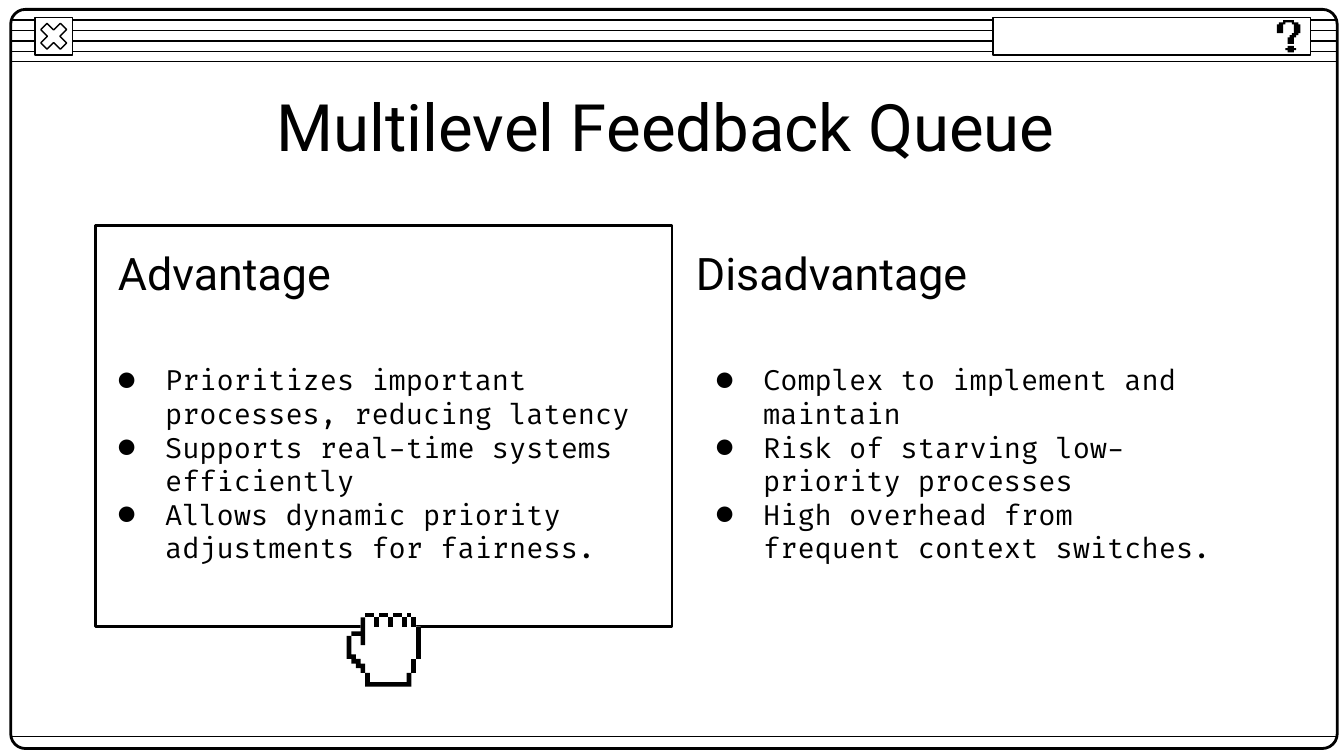
from dataclasses import dataclass

from lxml import etree
from pptx import Presentation
from pptx.dml.color import RGBColor
from pptx.enum.shapes import MSO_CONNECTOR as Wire, MSO_SHAPE as Kind
from pptx.enum.text import MSO_ANCHOR as Anchor, PP_ALIGN as Align
from pptx.oxml.ns import qn
from pptx.util import Inches, Pt


@dataclass(frozen=True)
class Theme:
    ink: RGBColor = RGBColor(0, 0, 0)
    paper: RGBColor = RGBColor(255, 255, 255)
    head: str = "Roboto"
    body: str = "Fira Code"
    title: float = 35
    sub: float = 24
    text: float = 15
    thin: float = 0.75
    thick: float = 1.5


THEME = Theme()

PROS = [
    "Prioritizes important processes, reducing latency",
    "Supports real-time systems efficiently",
    "Allows dynamic priority adjustments for fairness.",
]
CONS = [
    "Complex to implement and maintain",
    "Risk of starving low-priority processes",
    "High overhead from frequent context switches.",
]

# Pixel icons: outlines as corners counted in grid cells
HOOK = [(3, 0), (3, 1), (1, 1), (1, 2), (0, 2), (0, 6), (3, 6), (3, 2),
        (4, 2), (4, 1), (7, 1), (7, 2), (8, 2), (8, 6), (7, 6), (7, 7),
        (6, 7), (6, 8), (5, 8), (5, 11), (8, 11), (8, 8), (9, 8), (9, 7),
        (10, 7), (10, 6), (11, 6), (11, 2), (10, 2), (10, 1), (8, 1), (8, 0)]
DOT = [(5, 12), (5, 13), (4, 13), (4, 14), (5, 14), (5, 15), (8, 15),
       (8, 14), (9, 14), (9, 13), (8, 13), (8, 12)]
PALM = [(4, 0), (4, 1), (3, 1), (3, 4), (1, 4), (1, 5), (0, 5), (0, 10),
        (1, 10), (1, 11), (2, 11), (2, 12), (3, 12), (3, 13), (4, 13),
        (4, 16), (14, 16), (14, 13), (15, 13), (15, 10), (16, 10), (16, 3),
        (15, 3), (15, 1), (14, 1), (14, 0), (13, 0), (13, 1), (12, 1),
        (12, 0), (10, 0), (10, 1), (9, 1), (9, 0), (7, 0), (7, 1), (6, 1),
        (6, 0)]
WRIST = [(4, 13), (4, 16), (14, 16), (14, 13), (13, 13), (13, 15), (5, 15),
         (5, 13)]
THUMB = [(3, 1), (3, 4), (1, 4), (1, 5), (3, 5), (3, 7), (4, 7), (4, 1)]
EDGE = [(0, 5), (0, 10), (1, 10), (1, 11), (2, 11), (2, 12), (3, 12),
        (3, 13), (4, 13), (4, 11), (3, 11), (3, 10), (2, 10), (2, 9),
        (1, 9), (1, 5)]
# Straight strokes of the hand: column, row, width, height
BARS = [(14, 1, 1, 2), (12, 1, 1, 2), (9, 1, 1, 2), (6, 1, 1, 2),
        (15, 3, 1, 7), (14, 10, 1, 3),
        (4, 0, 2, 1), (7, 0, 2, 1), (10, 0, 2, 1), (13, 0, 1, 1)]


def add_line(slide, x1, x2, y):
    line = slide.shapes.add_connector(
        Wire.STRAIGHT, Inches(x1), Inches(y), Inches(x2), Inches(y))
    line.line.color.rgb = THEME.ink
    line.line.width = Pt(THEME.thin)
    etree.SubElement(line._element.spPr, qn("a:effectLst"))


def add_box(slide, kind, box, width, fill=None, adj=None):
    shape = slide.shapes.add_shape(kind, *map(Inches, box))
    shape.shadow.inherit = False
    if fill is None:
        shape.fill.background()
    else:
        shape.fill.solid()
        shape.fill.fore_color.rgb = fill
    shape.line.color.rgb = THEME.ink
    shape.line.width = Pt(width)
    if adj is not None:
        shape.adjustments[0] = adj


def add_path(slide, points, left, top, cell, fill):
    """Draw a closed outline on a square grid that starts at left, top."""
    path = slide.shapes.build_freeform(*points[0], scale=Inches(cell))
    path.add_line_segments(points[1:], close=True)
    shape = path.convert_to_shape(Inches(left), Inches(top))
    shape.shadow.inherit = False
    shape.fill.solid()
    shape.fill.fore_color.rgb = fill
    shape.line.fill.background()


def set_frame(frame):
    frame.word_wrap = True
    frame.vertical_anchor = Anchor.MIDDLE
    frame.margin_left = frame.margin_right = Inches(0.1)
    frame.margin_top = frame.margin_bottom = Inches(0.1)


def add_run(para, text, font, size):
    run = para.add_run()
    run.text = text
    run.font.name = font
    run.font.size = Pt(size)
    run.font.color.rgb = THEME.ink


def set_bullet(para):
    props = para._p.get_or_add_pPr()
    props.set("marL", str(Inches(0.5)))
    props.set("indent", str(Inches(-0.35)))
    color = etree.SubElement(props, qn("a:buClr"))
    etree.SubElement(color, qn("a:srgbClr"), val=str(THEME.ink))
    etree.SubElement(props, qn("a:buFont"), typeface=THEME.body)
    etree.SubElement(props, qn("a:buChar"), char="●")


def add_text(slide, box, lines, font, size, bullet=False):
    frame = slide.shapes.add_textbox(*map(Inches, box)).text_frame
    set_frame(frame)
    for i, text in enumerate(lines):
        para = frame.add_paragraph() if i else frame.paragraphs[0]
        if bullet:
            set_bullet(para)
        add_run(para, text, font, size)


def add_title(slide, text):
    title = slide.shapes.title
    title.left, title.top = Inches(0.74), Inches(0.62)
    title.width, title.height = Inches(8.43), Inches(0.63)
    set_frame(title.text_frame)
    para = title.text_frame.paragraphs[0]
    para.alignment = Align.CENTER
    add_run(para, text, THEME.head, THEME.title)


def add_window(slide):
    # Title bar stripes and window frame
    for i in range(5):
        add_line(slide, 0.08, 9.95, 0.15 + 0.31 * i / 4)
    add_box(slide, Kind.ROUNDED_RECTANGLE, (0.08, 0.07, 9.87, 5.5),
            THEME.thick, adj=0.02)
    # Close button
    for kind, adj in ((Kind.RECTANGLE, None), (Kind.MATH_MULTIPLY, 0.235)):
        add_box(slide, kind, (0.26, 0.13, 0.28, 0.28), THEME.thin,
                THEME.paper, adj)
    # Status line and help field
    add_line(slide, 0.08, 9.95, 5.48)
    add_box(slide, Kind.RECTANGLE, (7.39, 0.13, 2.36, 0.28), THEME.thin,
            THEME.paper)
    for points in (DOT, HOOK):
        add_path(slide, points, 9.5, 0.15, 0.24 / 15, THEME.ink)


def add_hand(slide):
    bars = [[(x, y), (x, y + h), (x + w, y + h), (x + w, y)]
            for x, y, w, h in BARS]
    place = (2.58, 4.56, 0.55 / 16)
    add_path(slide, PALM, *place, THEME.paper)
    for points in [*bars, WRIST, THUMB, EDGE]:
        add_path(slide, points, *place, THEME.ink)


def main():
    deck = Presentation()
    # Widescreen, 16 to 9
    deck.slide_width, deck.slide_height = Inches(10), Inches(10 * 9 / 16)
    slide = deck.slides.add_slide(deck.slide_layouts[5])
    slide.background.fill.solid()
    slide.background.fill.fore_color.rgb = THEME.paper

    add_window(slide)
    add_box(slide, Kind.RECTANGLE, (0.71, 1.68, 4.29, 2.98), THEME.thick)
    add_title(slide, "Multilevel Feedback Queue")

    # Two columns: bullets, then heading
    for name, items, left, body, width in (
            ("Advantage", PROS, 0.78, 0.63, 4.45),
            ("Disadvantage", CONS, 5.08, 5.08, 4.14)):
        add_text(slide, (body, 2.3, width, 2.3), items, THEME.body,
                 THEME.text, bullet=True)
        add_text(slide, (left, 1.75, 4.14, 0.55), [name], THEME.head,
                 THEME.sub)

    add_hand(slide)
    deck.save("out.pptx")


if __name__ == "__main__":
    main()
